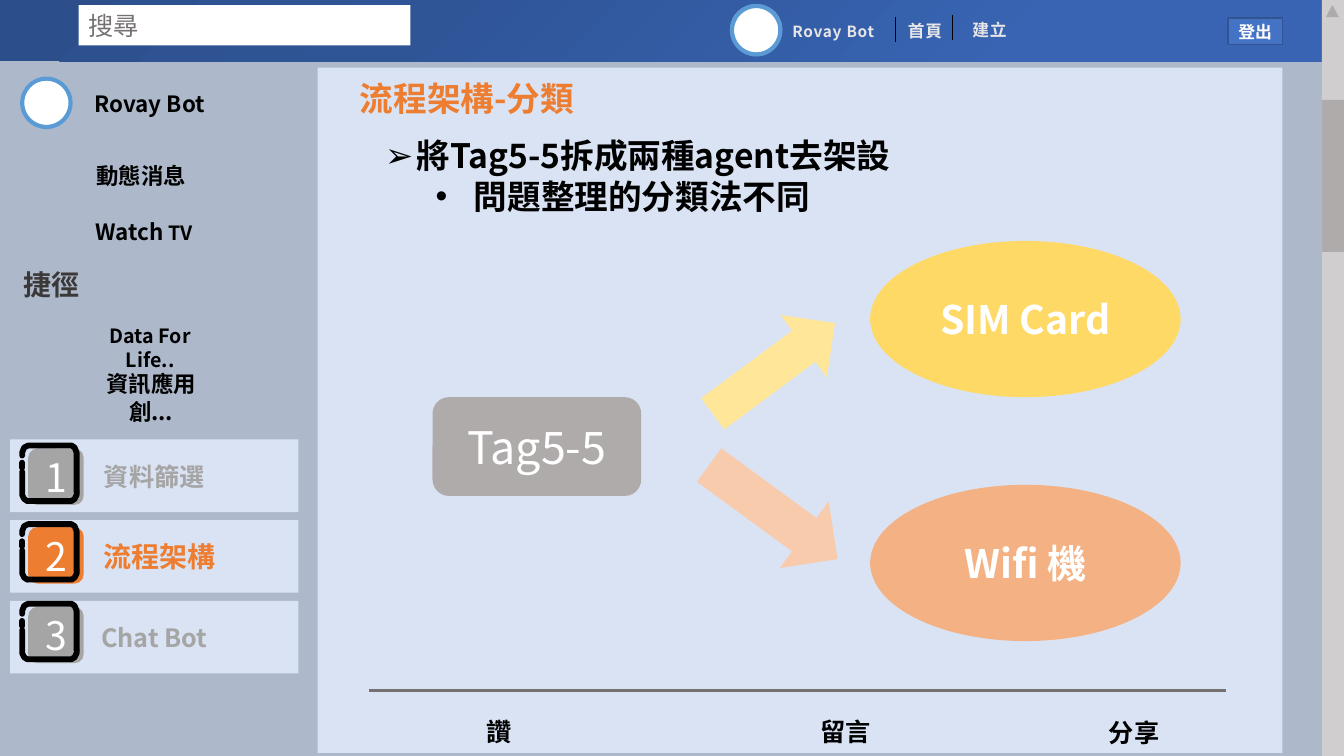
from dataclasses import dataclass
from typing import Optional

from pptx import Presentation
from pptx.dml.color import RGBColor
from pptx.enum.shapes import MSO_CONNECTOR, MSO_SHAPE
from pptx.enum.text import MSO_ANCHOR, MSO_AUTO_SIZE, PP_ALIGN
from pptx.oxml import parse_xml
from pptx.oxml.ns import nsdecls, qn
from pptx.util import Emu, Pt

PX = 9144  # 100 px to the inch
FONT = "Noto Sans CJK SC"

BLACK = RGBColor(0x00, 0x00, 0x00)
WHITE = RGBColor(0xFF, 0xFF, 0xFF)
BACKDROP = RGBColor(0xAD, 0xB9, 0xCA)
PANEL = RGBColor(0xDA, 0xE3, 0xF3)
RING = RGBColor(0x5B, 0x9B, 0xD5)
BUTTON = RGBColor(0x44, 0x72, 0xC4)
BUTTON_EDGE = RGBColor(0x32, 0x54, 0x91)
ORANGE = RGBColor(0xED, 0x7D, 0x31)
MUTED = RGBColor(0xA5, 0xA5, 0xA5)
STONE = RGBColor(0xAF, 0xAB, 0xAB)
TRACK = RGBColor(0xD0, 0xCE, 0xCE)
SLATE = RGBColor(0x76, 0x71, 0x71)
DARK = RGBColor(0x3B, 0x38, 0x38)
PALE = RGBColor(0xE7, 0xE6, 0xE6)
YELLOW = RGBColor(0xFF, 0xD9, 0x66)
LIGHT_YELLOW = RGBColor(0xFF, 0xE6, 0x99)
PEACH = RGBColor(0xF4, 0xB1, 0x83)
LIGHT_PEACH = RGBColor(0xF8, 0xCB, 0xAD)


@dataclass
class Style:
    size: int
    color: RGBColor = BLACK
    bold: bool = True
    align: PP_ALIGN = PP_ALIGN.CENTER
    font: str = FONT
    spacing: int = 0


@dataclass
class Box:
    x: int
    y: int
    w: int
    h: int
    fill: Optional[RGBColor] = None
    kind: MSO_SHAPE = MSO_SHAPE.RECTANGLE
    line: Optional[RGBColor] = None
    line_pt: int = 1
    turn: float = 0
    text: str = ""
    style: Optional[Style] = None


@dataclass
class Label:
    x: int
    y: int
    w: int
    h: int
    text: str
    style: Style


@dataclass
class MenuItem:
    bar_y: int
    frame_y: int
    number: str
    text: str
    size: int
    color: RGBColor
    inset: int = 10


def place(sp, x: int, y: int, w: int, h: int) -> None:
    sp.left, sp.top, sp.width, sp.height = (Emu(v * PX) for v in (x, y, w, h))


def add_run(p, text: str, st: Style) -> None:
    p.alignment = st.align
    p.line_spacing = Pt(round(st.size * 1.22))
    p.space_before = Pt(0)
    r = p.add_run()
    r.text = text
    r.font.size, r.font.bold, r.font.name = Pt(st.size), st.bold, st.font
    r.font.color.rgb = st.color
    rPr = r.font._element
    rPr.find(qn("a:latin")).addnext(
        parse_xml(f'<a:ea {nsdecls("a")} typeface="{FONT}"/>'))
    if st.spacing:
        rPr.set("spc", str(st.spacing))


def add_box(s, b: Box):
    sp = s.shapes.add_shape(b.kind, *(Emu(v * PX) for v in (b.x, b.y, b.w, b.h)))
    sp.shadow.inherit = False
    sp.rotation = b.turn
    if b.fill is None:
        sp.fill.background()
    else:
        sp.fill.solid()
        sp.fill.fore_color.rgb = b.fill
    if b.line is None:
        sp.line.fill.background()
    else:
        sp.line.color.rgb, sp.line.width = b.line, Pt(b.line_pt)
    if b.text:
        tf = sp.text_frame
        tf.word_wrap, tf.vertical_anchor = True, MSO_ANCHOR.MIDDLE
        add_run(tf.paragraphs[0], b.text, b.style)
    return sp


def add_label(s, t: Label):
    sp = s.shapes.add_textbox(*(Emu(v * PX) for v in (t.x, t.y, t.w, t.h)))
    tf = sp.text_frame
    tf.word_wrap, tf.vertical_anchor = True, MSO_ANCHOR.MIDDLE
    add_run(tf.paragraphs[0], t.text, t.style)
    return sp


def add_line(s, x1: int, y1: int, x2: int, y2: int, color: RGBColor, pt: float):
    cx = s.shapes.add_connector(MSO_CONNECTOR.STRAIGHT, *(Emu(v * PX) for v in (x1, y1, x2, y2)))
    cx.line.color.rgb, cx.line.width = color, Pt(pt)
    cx.element.spPr.append(parse_xml(f'<a:effectLst {nsdecls("a")}/>'))
    return cx


def round_ends(sp) -> None:
    ln = sp.line._get_or_add_ln()
    ln.set("cap", "rnd")
    ln.append(parse_xml(f'<a:round {nsdecls("a")}/>'))


def add_avatar(s, x: int, y: int) -> None:
    add_box(s, Box(x, y, 50, 48, WHITE, MSO_SHAPE.OVAL, WHITE))
    add_box(s, Box(x + 1, y + 1, 48, 48, None, MSO_SHAPE.OVAL, RING, 3))


# Strokes of a badge frame, from its top left corner
FRAME_STROKES = (
    ((54, 46), (54, 49), (52, 53), (49, 55), (5, 55)),
    ((5, 55), (2, 53), (0, 49), (0, 26)),
    ((0, 10), (0, 7), (2, 2), (6, 0), (49, 0), (52, 2), (54, 7), (54, 46)),
)


def add_menu_item(s, m: MenuItem) -> None:
    bar = add_box(s, Box(10, m.bar_y, 286, 72, PANEL, text=m.text, style=Style(m.size, m.color)))
    bar.text_frame.margin_left = Emu(m.inset * PX)
    add_box(s, Box(28, m.frame_y + 3, 55, 56, m.color, MSO_SHAPE.ROUNDED_RECTANGLE,
                   text=m.number, style=Style(28, WHITE, False)))
    for stroke in FRAME_STROKES:
        pts = [(22 + x, m.frame_y + y) for x, y in stroke]
        fb = s.shapes.build_freeform(*pts[0], scale=PX)
        fb.add_line_segments(pts[1:], close=False)
        sp = fb.convert_to_shape()
        sp.shadow.inherit = False
        sp.fill.background()
        sp.line.color.rgb, sp.line.width = BLACK, Pt(4.13)
        round_ends(sp)
    round_ends(add_line(s, 22, m.frame_y + 22, 22, m.frame_y + 17, BLACK, 4.13))


def add_header(s) -> None:
    bar = add_box(s, Box(0, 0, 1333, 61))
    stops = "".join(f'<a:gs pos="{pos}000"><a:srgbClr val="{c}"/></a:gs>' for pos, c in
                    ((0, "3864B3"), (23, "3864B3"), (69, "2F5597"), (97, "2C4F8C")))
    spPr = bar.element.spPr
    spPr.replace(spPr.find(qn("a:noFill")), parse_xml(
        f'<a:gradFill {nsdecls("a")}><a:gsLst>{stops}</a:gsLst><a:path path="circle">'
        '<a:fillToRect l="100000" t="100000"/></a:path></a:gradFill>'))
    add_box(s, Box(78, 5, 329, 40, WHITE, text="搜尋",
                   style=Style(18, SLATE, False, PP_ALIGN.LEFT, "Calibri")))
    add_avatar(s, 725, 5)
    for x, y in ((888, 17), (945, 15)):
        add_line(s, x, y, x, y + 25, BLACK, 0.5)
    add_box(s, Box(1218, 18, 54, 26, BUTTON, line=BUTTON_EDGE, text="登出", style=Style(12, WHITE)))


LEFT16 = Style(16, align=PP_ALIGN.LEFT)
LEFT18 = Style(18, align=PP_ALIGN.LEFT)
NAV = Style(12, PALE, spacing=50)
LABELS = (
    Label(764, 0, 125, 62, "Rovay Bot", Style(11, PALE, spacing=50)),
    Label(888, 0, 59, 60, "首頁", NAV),
    Label(952, 0, 59, 58, "建立", NAV),
    Label(84, 66, 202, 72, "Rovay Bot", LEFT16),
    Label(86, 138, 130, 72, "動態消息", LEFT16),
    Label(13, 246, 202, 72, "捷徑", Style(20, DARK, align=PP_ALIGN.LEFT)),
    Label(77, 324, 144, 41, "Data For Life..", Style(14)),
    Label(75, 373, 150, 41, "資訊應用創...", Style(16)),
    Label(473, 702, 43, 47, "讚", LEFT18),
    Label(804, 702, 81, 47, "留言", LEFT18),
    Label(1090, 703, 81, 47, "分享", LEFT18),
)
DIAGRAM = (
    Box(429, 394, 207, 98, STONE, MSO_SHAPE.ROUNDED_RECTANGLE, text="Tag5-5", style=Style(32, WHITE, False)),
    Box(692, 327, 151, 77, LIGHT_YELLOW, MSO_SHAPE.RIGHT_ARROW, turn=323.4),
    Box(688, 467, 158, 82, LIGHT_PEACH, MSO_SHAPE.RIGHT_ARROW, turn=36.2),
    Box(863, 239, 308, 155, YELLOW, MSO_SHAPE.OVAL, text="SIM Card", style=Style(28, WHITE)),
    Box(863, 481, 308, 155, PEACH, MSO_SHAPE.OVAL, text="Wifi 機", style=Style(28, WHITE)),
)
MENU = (
    MenuItem(436, 442, "1", "資料篩選", 18, MUTED),
    MenuItem(516, 520, "2", "流程架構", 20, ORANGE, 21),
    MenuItem(596, 599, "3", "Chat Bot", 18, MUTED),
)
BULLETS = (("將Tag5-5拆成兩種agent去架設", "➢", 31, 31), ("問題整理的分類法不同", "•", 88, 38))


def add_title_and_list(s) -> None:
    title, body = s.shapes.title, s.placeholders[1]
    place(title, 347, 72, 476, 50)
    place(body, 372, 129, 563, 91)
    for sp in (title, body):
        s.shapes.element.append(sp.element)  # bring in front of the panel
        tf = sp.text_frame
        tf.word_wrap, tf.vertical_anchor = True, MSO_ANCHOR.TOP
        tf.auto_size = MSO_AUTO_SIZE.SHAPE_TO_FIT_TEXT
    add_run(title.text_frame.paragraphs[0], "流程架構-分類", Style(24, ORANGE, align=PP_ALIGN.LEFT))
    tf = body.text_frame
    for level, (text, mark, margin, hang) in enumerate(BULLETS):
        p = tf.add_paragraph() if level else tf.paragraphs[0]
        p.level = level
        add_run(p, text, Style(24, align=PP_ALIGN.LEFT))
        pPr = p._p.get_or_add_pPr()
        pPr.set("marL", str(margin * PX))
        pPr.set("indent", str(-hang * PX))
        pPr.append(parse_xml(f'<a:buChar {nsdecls("a")} char="{mark}"/>'))


def main() -> None:
    prs = Presentation()
    prs.slide_width, prs.slide_height = Emu(1333 * PX), Emu(750 * PX)
    s = prs.slides.add_slide(prs.slide_layouts[1])
    s.background.fill.solid()
    s.background.fill.fore_color.rgb = BACKDROP

    # Page frame
    add_header(s)
    add_avatar(s, 21, 77)
    add_box(s, Box(315, 67, 957, 680, PANEL))
    add_line(s, 366, 685, 1216, 685, SLATE, 2)

    # Scroll bar
    add_box(s, Box(1311, 0, 22, 750, TRACK))
    add_box(s, Box(1315, 5, 13, 12, STONE, MSO_SHAPE.ISOSCELES_TRIANGLE))
    add_box(s, Box(1311, 99, 22, 151, STONE))

    # Texts
    for label in LABELS:
        add_label(s, label)
    watch = add_label(s, Label(78, 215, 130, 33, "Watch", Style(16)))
    add_run(watch.text_frame.paragraphs[0], " TV", Style(14))

    # Diagram, heading and menu
    for box in DIAGRAM:
        add_box(s, box)
    add_title_and_list(s)
    for item in MENU:
        add_menu_item(s, item)
    prs.save("out.pptx")


if __name__ == "__main__":
    main()
